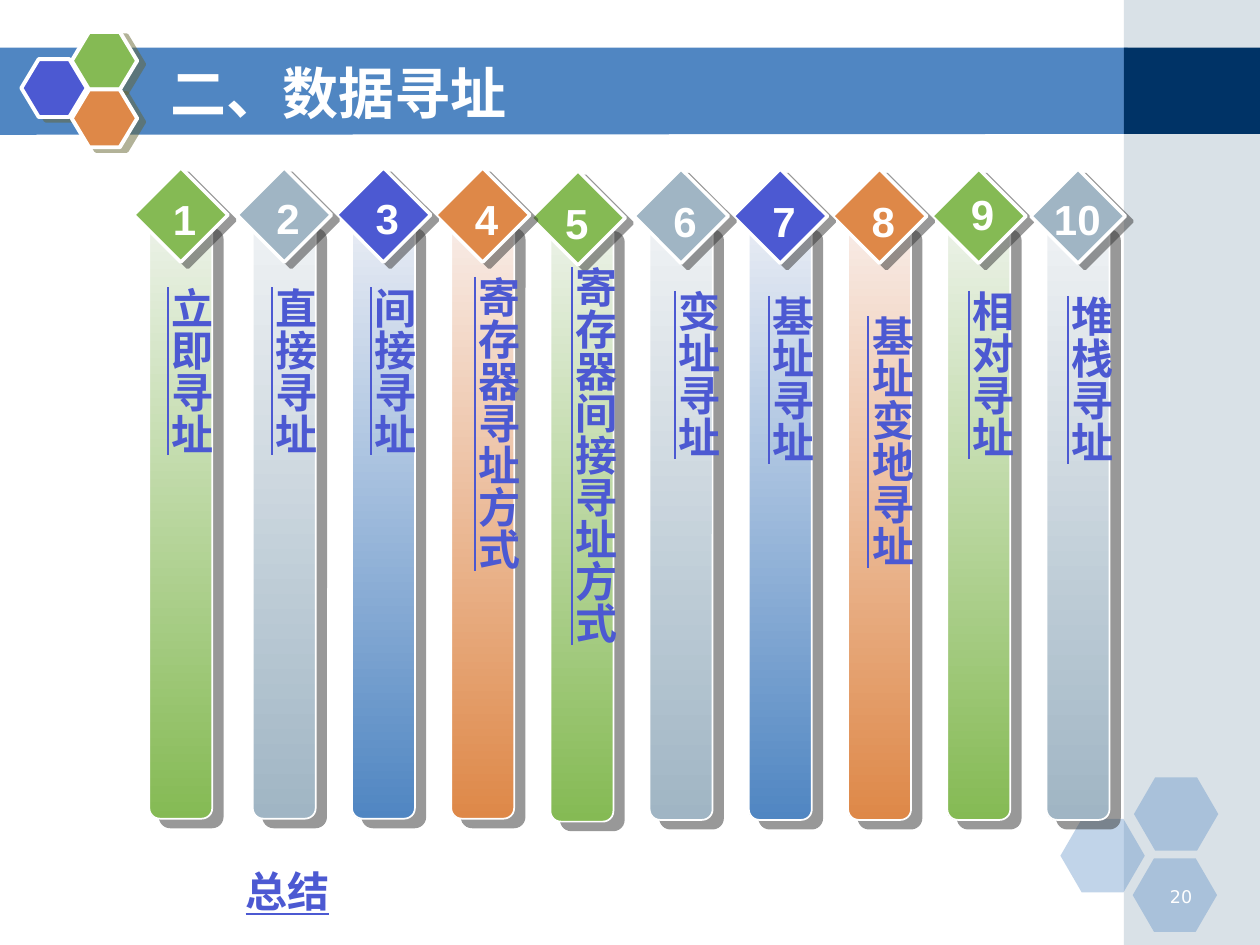
from lxml.etree import SubElement
from pptx import Presentation
from pptx.dml.color import RGBColor
from pptx.enum.shapes import MSO_SHAPE as Preset
from pptx.enum.text import MSO_ANCHOR as Anchor, MSO_AUTO_SIZE as AutoSize, PP_ALIGN as Align
from pptx.oxml.ns import qn
from pptx.util import Pt

WHITE, BLUE, GREEN, ORANGE, STEEL, GREY = "FFFFFF", "4C59D2", "85BA54", "DE8848", "5086C2", "A0B5C4"

# Diamond colour, bar top colour, bar bottom colour
THEMES = [(GREEN, "ECF2E8", GREEN), (GREY, "EFF2F4", GREY),
          (BLUE, "E8ECF4", STEEL), (ORANGE, "F8ECE7", ORANGE)]

# Label, lane top, label shift from the centre, label top, label height, number top
LANES = [
    ("立即寻址", 95.8, 2.5, 157, 122.4, 107.3),
    ("直接寻址", 95.8, 2.5, 157, 122.4, 106.6),
    ("间接寻址", 95.8, 2.5, 157, 122.4, 106.6),
    ("寄存器寻址方式", 95.8, 5.4, 151.2, 208.8, 107.3),
    ("寄存器间接寻址方式", 97.5, 4, 145.4, 265.7, 109.4),
    ("变址寻址", 96.5, 6.1, 159.1, 122.4, 108),
    ("基址寻址", 96.5, 3.2, 162, 122.4, 108),
    ("基址变地寻址", 96.5, 3.2, 173.5, 209.5, 108),
    ("相对寻址", 96.5, 4, 159.1, 122.4, 104.4),
    ("堆栈寻址", 96.5, 4, 162, 122.4, 107.3),
]
FIRST_CENTRE, SECOND_CENTRE, PITCH = 103.3, 162.4, 56.7


def colour(value):
    return RGBColor.from_string(value)


def add_alpha(parent, percent):
    SubElement(parent, qn("a:alpha")).set("val", str(percent * 1000))


def add_shadow(shape, value, distance, direction):
    effects = shape._element.spPr.find(qn("a:effectLst"))
    shadow = SubElement(effects, qn("a:outerShdw"), dist=str(Pt(distance)),
                        dir=str(direction * 60000), algn="ctr", rotWithShape="0")
    add_alpha(SubElement(shadow, qn("a:srgbClr"), val=value), 50)


def finish(shape, fill=None, line=0, opacity=100):
    shape.shadow.inherit = False
    if fill:
        shape.fill.solid()
        shape.fill.fore_color.rgb = colour(fill)
        if opacity < 100:
            add_alpha(shape._element.spPr.find(f".//{qn('a:srgbClr')}"), opacity)
    if line:
        shape.line.color.rgb = colour(WHITE)
        shape.line.width = Pt(line)
    else:
        shape.line.fill.background()
    return shape


def add_preset(page, preset, box):
    return page.shapes.add_shape(preset, *map(Pt, box))


def add_hexagon(page, box, adjust, **style):
    hexagon = add_preset(page, Preset.HEXAGON, box)
    hexagon.adjustments[0] = adjust
    return finish(hexagon, **style)


def style_text(frame, text, size, value, font="Arial", align=Align.LEFT, bold=True, underline=None):
    frame.text = text
    para = frame.paragraphs[0]
    para.alignment = align
    para.font.size = Pt(size)
    para.font.bold = bold
    para.font.underline = underline
    para.font.color.rgb = colour(value)
    para.font.name = font
    SubElement(para.font._element, qn("a:ea"), typeface="Noto Sans CJK SC")


def add_text(page, box, text, size, value, wrap=True, vertical=False, **style):
    frame = page.shapes.add_textbox(*map(Pt, box)).text_frame
    frame.word_wrap = wrap
    if vertical:
        frame._txBody.bodyPr.set("vert", "eaVert")
    style_text(frame, text, size, value, **style)


def add_backdrop(page, width, height):
    # Header band and right-hand column
    builder = page.shapes.build_freeform(Pt(-0.7), Pt(27.2))
    builder.add_line_segments([(Pt(644.4), Pt(27.2)), (Pt(644.4), Pt(76.5)), (Pt(-0.7), Pt(77))])
    finish(builder.convert_to_shape(), STEEL)
    left = 642.2
    finish(add_preset(page, Preset.RECTANGLE, (left, 0, width - left, height)), GREY, opacity=40)
    finish(add_preset(page, Preset.RECTANGLE, (left, 27.2, width - left, 49.3)), "003366")

    # Pale corner hexagons
    for x, y in [(606, 468), (648, 444.2), (647.3, 490.5)]:
        add_hexagon(page, (x, y, 48.2, 42), 0.29, fill=STEEL, opacity=35)

    # Header emblem
    for x, y, fill in [(12.2, 33.8, BLUE), (41, 18.2, GREEN), (41, 51.1, ORANGE)]:
        hexagon = add_hexagon(page, (x, y, 37.4, 33.1), 0.3, fill=fill, line=2.25)
        add_shadow(hexagon, "666633", 4.5, 27)


def add_title(page, box, text):
    title = page.shapes.title
    title.left, title.top, title.width, title.height = map(Pt, box)
    page.shapes._spTree.append(title._element)  # in front of the band
    frame = title.text_frame
    frame.vertical_anchor = Anchor.MIDDLE
    frame.auto_size = AutoSize.NONE
    style_text(frame, text, 32, WHITE, font="Noto Sans CJK SC")


def add_lane(page, index):
    label, top, shift, label_top, label_height, number_top = LANES[index]
    diamond_fill, light, dark = THEMES[index % len(THEMES)]
    centre = SECOND_CENTRE + (index - 1) * PITCH if index else FIRST_CENTRE
    number = str(index + 1)
    nudge = -2.2 if number == "5" else 0

    # Bar, turned so that its gradient runs downwards
    length, thickness = 342, 36
    middle = top + 30 + length / 2
    bar = add_preset(page, Preset.ROUNDED_RECTANGLE,
                     (centre - length / 2, middle - thickness / 2, length, thickness))
    bar.rotation = 90
    bar.fill.gradient()
    bar.fill.gradient_angle = 0
    for stop, value in zip(bar.fill.gradient_stops, (light, dark)):
        stop.color.rgb = colour(value)
    finish(bar, line=1)
    add_shadow(bar, "333333", 7.8, 40)

    # Diamond with its number
    diamond = add_preset(page, Preset.DIAMOND, (centre + nudge - 27, top, 54, 54))
    finish(diamond, diamond_fill, line=2)
    add_shadow(diamond, "333333", 5, 37)
    width = 46 if len(number) > 1 else 28
    offset = -0.4 if len(number) > 1 else 2.2 + 2.3 * nudge
    add_text(page, (centre + offset - width / 2, number_top, width, 36),
             number, 24, WHITE, wrap=False, align=Align.CENTER)

    # Vertical label
    add_text(page, (centre + shift - 21.6, label_top, 43.2, label_height), label, 24, BLUE,
             vertical=True, underline=True,
             align=Align.LEFT if label == "基址变地寻址" else Align.CENTER)


def main():
    deck = Presentation()
    deck.slide_width, deck.slide_height = Pt(720), Pt(540)
    page = deck.slides.add_slide(deck.slide_layouts[5])
    add_backdrop(page, 720, 540)
    add_text(page, (652.3, 502.6, 36, 18), "20", 10, WHITE,
             font="DejaVu Sans", align=Align.RIGHT, bold=False)
    add_title(page, (90, 30.2, 527.8, 44.6), "二、数据寻址")
    # Each lane overlaps the one on its right, except the last
    for index in [*range(8, -1, -1), 9]:
        add_lane(page, index)
    add_text(page, (133.2, 491, 107.3, 36), "总结", 24, BLUE, underline=True)
    deck.save("out.pptx")


if __name__ == "__main__":
    main()
